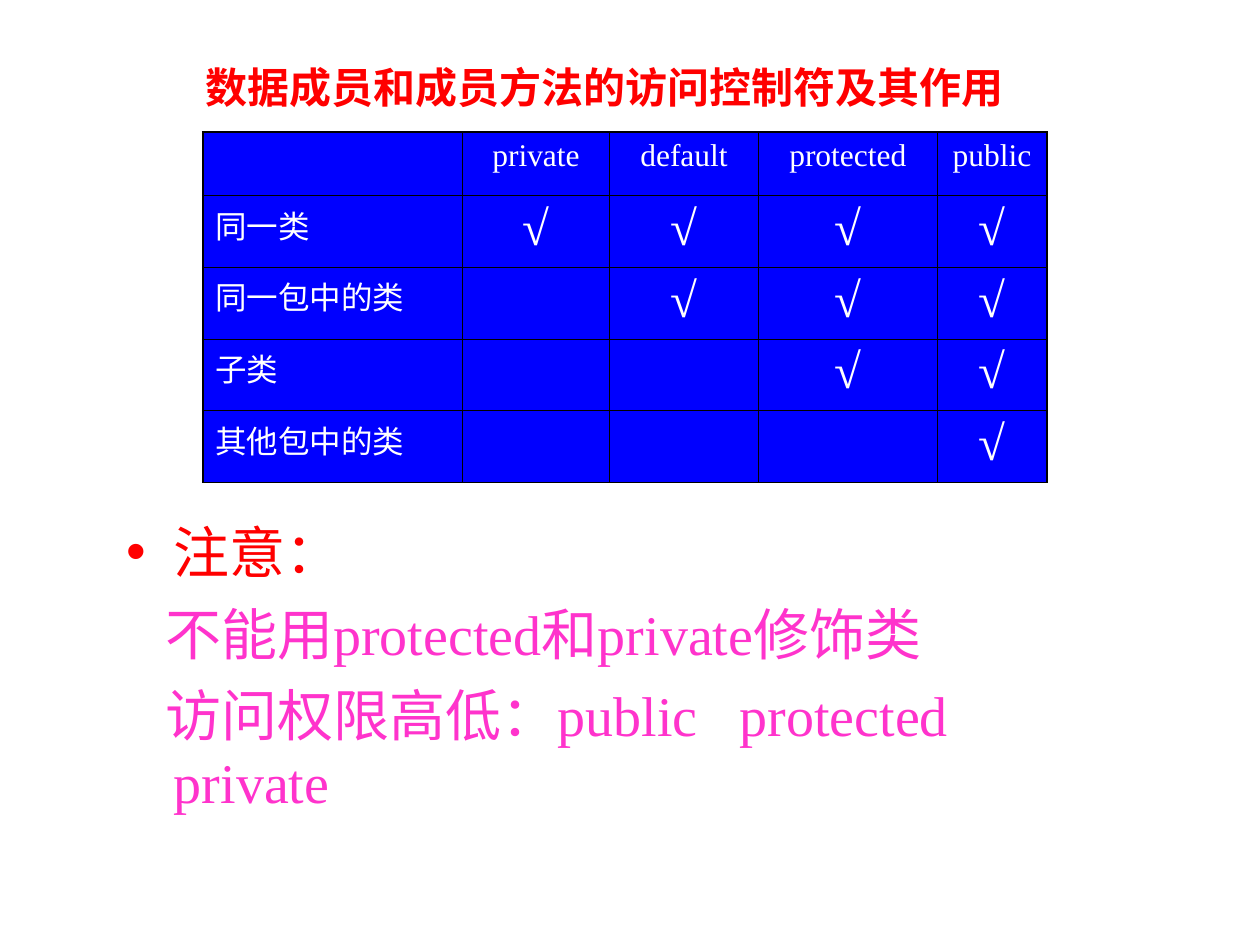
"""Build a slide on Java access modifiers: a permission table and notes."""
from lxml import etree
from pptx import Presentation, util as u
from pptx.dml.color import RGBColor
from pptx.enum import text as t
from pptx.oxml import ns

COLORS = {"red": "FF0000", "pink": "FF33CC", "white": "FFFFFF",
          "blue": "0000FF", "black": "000000"}
FONT = "Times New Roman"


def add_text(paragraph, text, size=32, color="pink", bold=False, spacing=0):
    run = paragraph.add_run()
    run.text = text
    run.font.name = FONT
    run.font.size = u.Pt(size)
    run.font.bold = bold
    run.font.color.rgb = RGBColor.from_string(COLORS[color])
    if spacing:
        run.font._element.set("spc", str(spacing * 100))


def add_color(parent, color):
    etree.SubElement(parent, ns.qn("a:srgbClr"), val=COLORS[color])


prs = Presentation()
prs.slide_width, prs.slide_height = u.Inches(10), u.Inches(7.5)
slide = prs.slides.add_slide(prs.slide_layouts[1])
heading, notes = slide.placeholders

for part, box in ((heading, (1.53, 0.44, 7.01, 0.5)),
                  (notes, (0.9, 4.06, 8.27, 3.16))):
    part.left, part.top, part.width, part.height = map(u.Inches, box)
    part.text_frame.word_wrap = True
    part.text_frame.auto_size = t.MSO_AUTO_SIZE.NONE
    part.text_frame.vertical_anchor = t.MSO_ANCHOR.TOP

heading_line = heading.text_frame.paragraphs[0]
heading_line.alignment = t.PP_ALIGN.LEFT
add_text(heading_line, "数据成员和成员方法的访问控制符及其作用", size=24, color="red", bold=True)

modifiers = ["private", "default", "protected", "public"]
scopes = ["同一类", "同一包中的类", "子类", "其他包中的类"]
column_widths = [2.06, 1.17, 1.18, 1.42, 0.87]
row_heights = [0.5] + [0.57] * len(scopes)
last_row, last_column = len(scopes), len(modifiers)

access = slide.shapes.add_table(
    len(row_heights), len(column_widths), u.Inches(1.61), u.Inches(1.05),
    u.Inches(sum(column_widths)), u.Inches(sum(row_heights))).table
access.first_row = access.horz_banding = False
for column, width in zip(access.columns, column_widths):
    column.width = u.Inches(width)
for row, height in zip(access.rows, row_heights):
    row.height = u.Inches(height)

for r in range(last_row + 1):
    for c in range(last_column + 1):
        cell = access.cell(r, c)
        edges = {"L": c == 0, "R": c == last_column, "T": r == 0, "B": r == last_row}
        for side, outer in edges.items():
            line = etree.SubElement(cell._tc.get_or_add_tcPr(), ns.qn("a:ln" + side),
                                    w=str(u.Pt(1.08 if outer else 0.45)))
            add_color(etree.SubElement(line, ns.qn("a:solidFill")), "black")
        cell.fill.solid()
        cell.fill.fore_color.rgb = RGBColor.from_string(COLORS["blue"])
        entry = cell.text_frame.paragraphs[0]
        if c > 0:
            entry.alignment = t.PP_ALIGN.CENTER
        if r == 0 and c > 0:
            add_text(entry, modifiers[c - 1], size=18, color="white")
        elif r > 0 and c == 0:
            add_text(entry, scopes[r - 1], size=18, color="white")
        elif 0 < r <= c:
            add_text(entry, "√", size=28, color="white")

caution = notes.text_frame.paragraphs[0]
rule = notes.text_frame.add_paragraph()
ranking = notes.text_frame.add_paragraph()
for paragraph, indent in ((caution, -0.38), (rule, -0.07), (ranking, -0.07)):
    properties = paragraph._p.get_or_add_pPr()
    properties.set("marL", str(u.Inches(0.38)))
    properties.set("indent", str(u.Inches(indent)))
    if paragraph is caution:
        add_color(etree.SubElement(properties, ns.qn("a:buClr")), "red")
        etree.SubElement(properties, ns.qn("a:buChar"), char="•")
    else:
        etree.SubElement(properties, ns.qn("a:buNone"))
    paragraph.space_before = u.Pt(0 if paragraph is caution else 8)

add_text(caution, "注意：", color="red")
add_text(rule, "不能用protected和private修饰类")
add_text(ranking, "访问权限高低：public")
add_text(ranking, " ", spacing=16)
add_text(ranking, "protected")
ranking.add_line_break()
add_text(ranking, "private")

prs.save("out.pptx")
